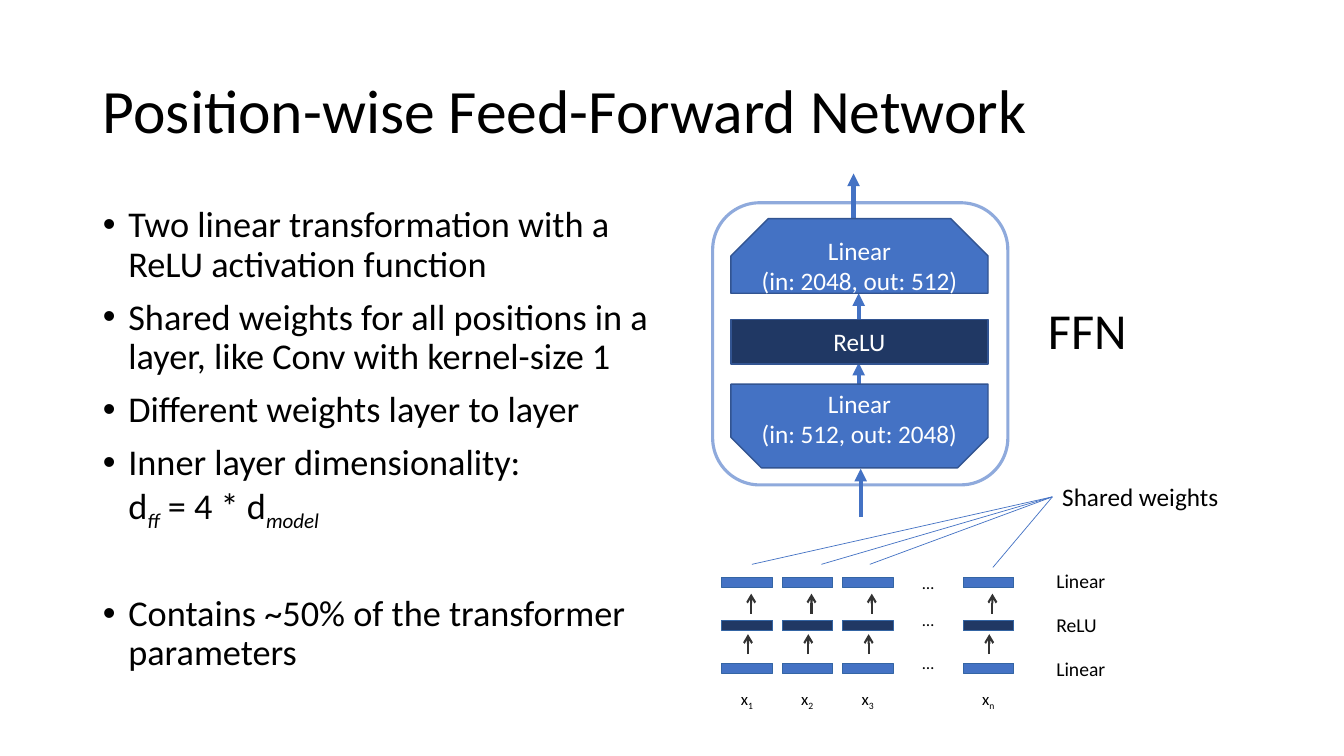
import dataclasses

import pptx
import pptx.dml.color
import pptx.enum.shapes
import pptx.enum.text
import pptx.oxml
import pptx.oxml.ns
import pptx.util

Cm, Pt = pptx.util.Cm, pptx.util.Pt
RGB = pptx.dml.color.RGBColor.from_string
SHAPE = pptx.enum.shapes.MSO_SHAPE
ALIGN = pptx.enum.text.PP_ALIGN
ANCHOR = pptx.enum.text.MSO_ANCHOR


@dataclasses.dataclass(frozen=True)
class Theme:
    font: str = "Calibri"
    text: str = "000000"
    light: str = "FFFFFF"
    blue: str = "4472C4"
    navy: str = "203864"
    block_edge: str = "325491"
    cell_edge: str = "3465A4"
    frame: str = "8FAADC"
    gray: str = "333333"
    title_size: float = 44
    heading_size: float = 36
    body_size: float = 25.9
    block_size: float = 18
    label_size: float = 14
    small_size: float = 12


theme = Theme()


def write(text_frame, text, size, color=theme.text, align=ALIGN.LEFT, subscript=""):
    """Fill a text frame and format all its runs."""
    text_frame.word_wrap = True
    text_frame.text = text
    if subscript:
        run = text_frame.paragraphs[-1].add_run()
        run.text = subscript
        run._r.get_or_add_rPr().set("baseline", "-25000")
    for paragraph in text_frame.paragraphs:
        paragraph.alignment = align
        for run in paragraph.runs:
            run.font.name = theme.font
            run.font.size = Pt(size)
            run.font.color.rgb = RGB(color)


def add_line(start, end, color, width, head=None):
    """Draw a straight line, with an arrowhead at its end if one is named."""
    line = slide.shapes.add_connector(
        pptx.enum.shapes.MSO_CONNECTOR.STRAIGHT, *(Cm(value) for value in (*start, *end)))
    line.line.color.rgb = RGB(color)
    line.line.width = Pt(width)
    if head:
        tail_end = pptx.oxml.parse_xml(
            f'<a:tailEnd {pptx.oxml.ns.nsdecls("a")} type="{head}"/>')
        line.line._get_or_add_ln().append(tail_end)
    line._element.spPr.append(
        pptx.oxml.parse_xml(f'<a:effectLst {pptx.oxml.ns.nsdecls("a")}/>'))


presentation = pptx.Presentation()
presentation.slide_width, presentation.slide_height = Cm(33.87), Cm(19.05)
slide = presentation.slides.add_slide(presentation.slide_layouts[1])

# Title
title = slide.shapes.title
title.left, title.top, title.width, title.height = Cm(2.34), Cm(1.02), Cm(29.21), Cm(3.68)
write(title.text_frame, "Position-wise Feed-Forward Network", theme.title_size)
title.text_frame.vertical_anchor = ANCHOR.MIDDLE
title.text_frame.paragraphs[0].line_spacing = 0.9

# Bullet list: each bullet has its space before and runs of (text, is subscript)
bullets = [
    (0, [("Two linear transformation with a ReLU activation function", False)]),
    (10, [("Shared weights for all positions in a layer, like Conv with kernel-size 1", False)]),
    (10, [("Different weights layer to layer", False)]),
    (10, [("Inner layer dimensionality:\nd", False), ("ff", True),
          (" = 4 * d", False), ("model", True)]),
    (48, [("Contains ~50% of the transformer parameters", False)]),
]
body = slide.placeholders[1]
body.left, body.top, body.width, body.height = Cm(2.34), Cm(5.08), Cm(14.4), Cm(12.09)
body.text_frame.auto_size = pptx.enum.text.MSO_AUTO_SIZE.NONE
body.text_frame.vertical_anchor = ANCHOR.TOP
for index, (space_before, parts) in enumerate(bullets):
    paragraph = body.text_frame.paragraphs[0] if index == 0 else body.text_frame.add_paragraph()
    properties = paragraph._p.get_or_add_pPr()
    properties.set("marL", str(Cm(0.64)))
    properties.set("indent", str(-Cm(0.64)))
    properties.append(pptx.oxml.parse_xml(
        f'<a:buChar {pptx.oxml.ns.nsdecls("a")} char="•"/>'))
    paragraph.line_spacing = 0.9
    paragraph.space_before = Pt(space_before)
    paragraph.text = parts[0][0]
    for text, _ in parts[1:]:
        paragraph.add_run().text = text
    for run in paragraph.runs:
        run.font.name = theme.font
        run.font.size = Pt(theme.body_size)
        run.font.color.rgb = RGB(theme.text)
        if (run.text, True) in parts:
            run.font.italic = True
            run._r.get_or_add_rPr().set("baseline", "-25000")

# Rounded frame of the feed-forward network
frame = slide.shapes.add_shape(SHAPE.ROUNDED_RECTANGLE, Cm(17.96), Cm(5.11), Cm(7.44), Cm(7.11))
frame.shadow.inherit = False
frame.fill.background()
frame.line.color.rgb = RGB(theme.frame)
frame.line.width = Pt(2.25)

# Arrows through the network, bottom to top
for x, bottom, top in [(21.69, 13.03, 11.81), (21.64, 9.68, 9.14),
                       (21.64, 8.05, 7.39), (21.51, 5.66, 4.37)]:
    add_line((x, bottom), (x, top), theme.blue, 3, "triangle")

# Network blocks
for preset, cuts, top, height, fill, text in [
    (SHAPE.SNIP_2_SAME_RECTANGLE, (0.5, 0), 5.51, 1.88, theme.blue, "Linear\n(in: 2048, out: 512)"),
    (SHAPE.RECTANGLE, (), 8.05, 1.12, theme.navy, "ReLU"),
    (SHAPE.SNIP_2_SAME_RECTANGLE, (0, 0.364), 9.68, 2.11, theme.blue,
     "Linear\n(in: 512, out: 2048)"),
]:
    block = slide.shapes.add_shape(preset, Cm(18.42), Cm(top), Cm(6.48), Cm(height))
    for index, cut in enumerate(cuts):
        block.adjustments[index] = cut
    block.shadow.inherit = False
    block.fill.solid()
    block.fill.fore_color.rgb = RGB(fill)
    block.line.color.rgb = RGB(theme.block_edge)
    block.line.width = Pt(1)
    block.text_frame.vertical_anchor = ANCHOR.MIDDLE
    write(block.text_frame, text, theme.block_size, theme.light, ALIGN.CENTER)

# Grid of positions: the fourth column holds the ellipses
grid_left, column_step, grid_top, row_step = 18.19, 1.52, 14.55, 1.08
columns = {name: grid_left + column_step * index for name, index in
           [("1", 0), ("2", 1), ("3", 2), ("n", 4)]}
ellipsis_left = grid_left + column_step * 3
labels = [
    (26.16, 7.42, 2.69, 1.8, "FFN", theme.heading_size, ALIGN.LEFT, ""),
    (26.52, 12.01, 4.83, 1.02, "Shared weights", theme.block_size, ALIGN.LEFT, ""),
]
for row, (name, fill, ellipsis_rise) in enumerate([
    ("Linear", theme.blue, 0.25), ("ReLU", theme.navy, 0.38), ("Linear", theme.blue, 0.38),
]):
    top = grid_top + row_step * row
    for left in columns.values():
        cell = slide.shapes.add_shape(SHAPE.RECTANGLE, Cm(left), Cm(top), Cm(1.28), Cm(0.26))
        cell.shadow.inherit = False
        cell.fill.solid()
        cell.fill.fore_color.rgb = RGB(fill)
        cell.line.color.rgb = RGB(theme.cell_edge)
        cell.line.width = Pt(0)
    labels.append((ellipsis_left, top - ellipsis_rise, 1.28, 0.76, "…",
                   theme.small_size, ALIGN.CENTER, ""))
    labels.append((26.37, 14.22 + 1.1 * row, 2.29, 0.86, name,
                   theme.label_size, ALIGN.LEFT, ""))

# Arrows between the rows and input names below them
for name, left in columns.items():
    for offset, bottom, top in [(0.74, 15.47, 14.96), (0.66, 16.48, 15.98)]:
        add_line((left + offset, bottom), (left + offset, top), theme.gray, 1.5, "arrow")
    labels.append((left - 0.04, 17.22, 1.35, 0.76, "x", theme.small_size, ALIGN.CENTER, name))

# Fan of lines to the shared weights
for start in [(18.95, 14.22), (20.7, 14.22), (21.92, 14.22), (25.02, 14.3)]:
    add_line(start, (26.52, 12.52), theme.blue, 0.5)

# Labels
for left, top, width, height, text, size, align, subscript in labels:
    label = slide.shapes.add_textbox(Cm(left), Cm(top), Cm(width), Cm(height))
    write(label.text_frame, text, size, align=align, subscript=subscript)

presentation.save("out.pptx")
